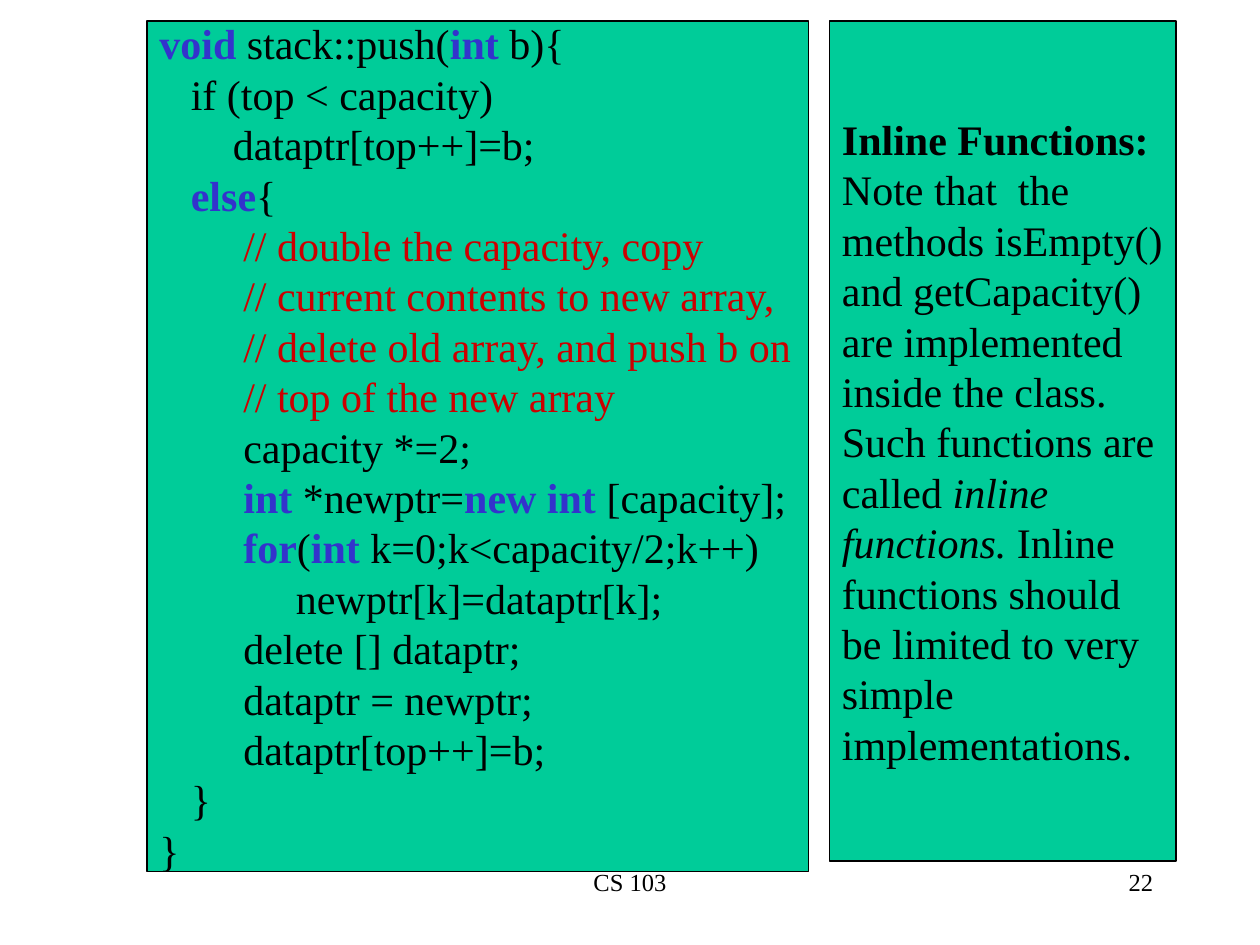
from pptx import Presentation
from pptx.dml.color import RGBColor
from pptx.enum.shapes import MSO_SHAPE as SHAPE
from pptx.enum.text import MSO_ANCHOR as ANCHOR, PP_ALIGN as ALIGN
from pptx.oxml.ns import qn
from pptx.util import Pt
from lxml.etree import SubElement

FONT = "Times New Roman"
BLACK, BLUE, RED, GREEN = "000000", "3333CC", "CC0000", "00CC99"
STYLES = {
    "plain": (BLACK, False, False),
    "keyword": (BLUE, True, False),
    "comment": (RED, False, False),
    "heading": (BLACK, True, False),
    "term": (BLACK, False, True),
}

CODE = [
    [("void", "keyword"), " stack::push(", ("int", "keyword"), " b){"],
    ["   if (top < capacity)"],
    ["       dataptr[top++]=b;"],
    ["   ", ("else", "keyword"), "{"],
    [("        // double the capacity, copy ", "comment")],
    [("        // current contents to new array,", "comment")],
    [("        // delete old array, and push b on", "comment")],
    [("        // top of the new array", "comment")],
    ["        capacity *=2;"],
    ["        ", ("int", "keyword"), " *newptr=", ("new int", "keyword"), " [capacity];"],
    ["        ", ("for", "keyword"), "(", ("int", "keyword"), " k=0;k<capacity/2;k++)"],
    [" \t newptr[k]=dataptr[k];"],
    ["        delete [] dataptr;"],
    ["        dataptr = newptr;"],
    ["        dataptr[top++]=b;"],
    ["   }"],
    ["}"],
]

NOTE = [
    [("Inline Functions:", "heading")],
    ["Note that  the "],
    ["methods isEmpty()"],
    ["and getCapacity()"],
    ["are implemented "],
    ["inside the class."],
    ["Such functions are"],
    ["called ", ("inline ", "term")],
    [("functions.", "term"), " Inline"],
    ["functions should"],
    ["be limited to very"],
    ["simple "],
    ["implementations."],
]


def rgb(value):
    """Turn a hex string into a colour."""
    return RGBColor.from_string(value)


def add_run(p, text, size, style="plain"):
    """Append one styled run to a paragraph."""
    color, bold, italic = STYLES[style]
    r = p.add_run()
    r.text = text
    r.font.name = FONT
    r.font.size = Pt(size)
    r.font.bold = bold
    r.font.italic = italic
    r.font.color.rgb = rgb(color)


def add_tab_stop(p, position):
    """Give a paragraph one left tab stop."""
    tabs = SubElement(p._p.get_or_add_pPr(), qn("a:tabLst"))
    SubElement(tabs, qn("a:tab"), pos=str(Pt(position)), algn="l")


def add_panel(slide, left, top, width, height, lines):
    """Add an outlined green panel holding lines of styled runs."""
    s = slide.shapes.add_shape(
        SHAPE.RECTANGLE, Pt(left), Pt(top), Pt(width), Pt(height))
    s.shadow.inherit = False
    s.fill.solid()
    s.fill.fore_color.rgb = rgb(GREEN)
    s.line.color.rgb = rgb(BLACK)
    s.line.width = Pt(0.75)
    tf = s.text_frame
    tf.word_wrap = False
    tf.vertical_anchor = ANCHOR.MIDDLE
    for i, line in enumerate(lines):
        p = tf.add_paragraph() if i else tf.paragraphs[0]
        p.alignment = ALIGN.JUSTIFY
        p.line_spacing = Pt(28.8)
        add_tab_stop(p, 72)
        for part in line:
            text, style = (part, "plain") if isinstance(part, str) else part
            add_run(p, text, 24, style)


def add_footer(slide, left, width, text, align):
    """Add one small text at the foot of the slide."""
    s = slide.shapes.add_textbox(Pt(left), Pt(492), Pt(width), Pt(36))
    tf = s.text_frame
    tf.word_wrap = True
    p = tf.paragraphs[0]
    p.alignment = align
    add_run(p, text, 14)


def main():
    """Build the slide and save it."""
    prs = Presentation()
    prs.slide_width, prs.slide_height = Pt(720), Pt(540)
    slide = prs.slides.add_slide(prs.slide_layouts[6])
    add_footer(slide, 246, 228, "CS 103", ALIGN.CENTER)
    add_footer(slide, 516, 150, "22", ALIGN.RIGHT)
    add_panel(slide, 84, 12, 378, 486, CODE)
    add_panel(slide, 474, 12, 198, 480, NOTE)
    prs.save("out.pptx")


if __name__ == "__main__":
    main()
